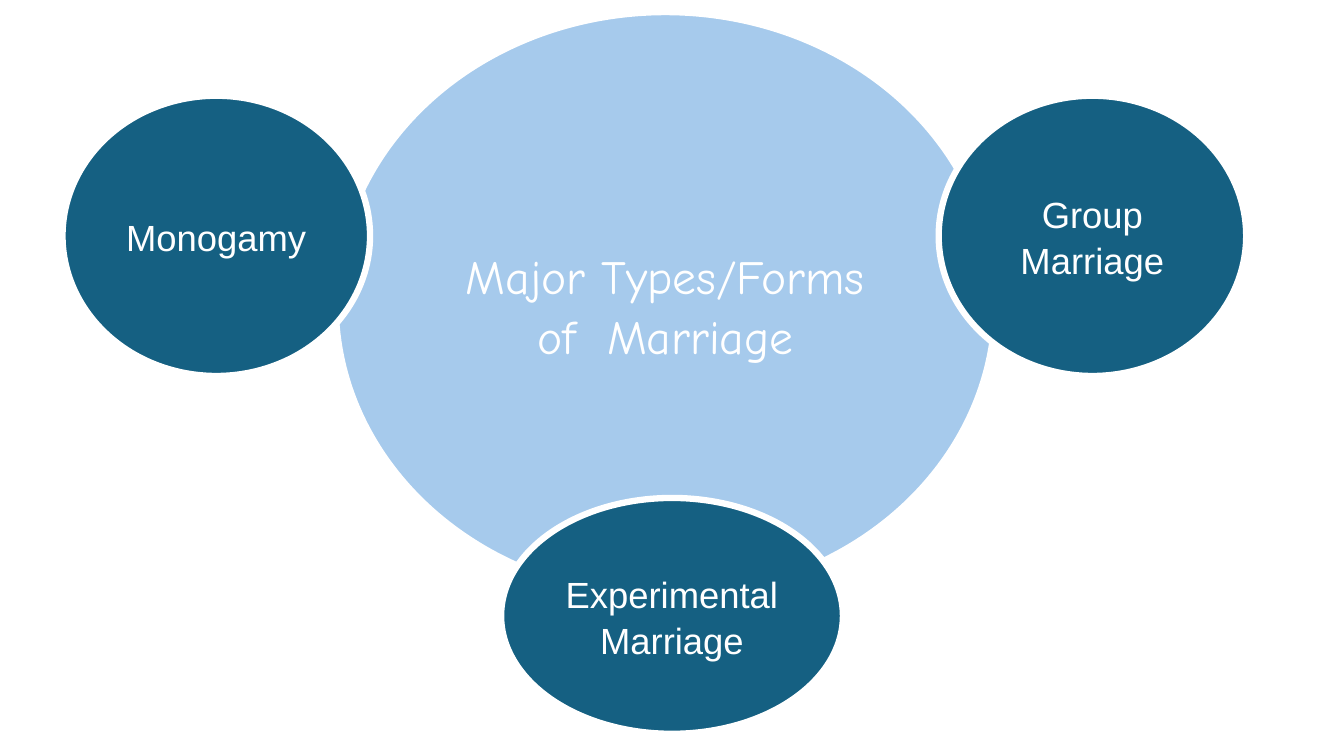
from pptx import Presentation
from pptx.dml.color import RGBColor
from pptx.enum.shapes import MSO_SHAPE
from pptx.enum.text import MSO_ANCHOR, PP_ALIGN
from pptx.util import Inches, Pt

ELLIPSE = MSO_SHAPE.OVAL
MIDDLE = MSO_ANCHOR.MIDDLE
CENTER = PP_ALIGN.CENTER

WHITE = RGBColor(0xFF, 0xFF, 0xFF)
LIGHT_BLUE = RGBColor(0xA6, 0xCA, 0xEC)
TEAL = RGBColor(0x15, 0x60, 0x82)

SLIDE_W, SLIDE_H = 13.33, 7.5
SIDE_TOP, SIDE_W, SIDE_H = 0.95, 3.05, 2.78

# Marriage forms around the hub: text, left, top, width, height
FORMS = [
    ("Group Marriage", 9.31, SIDE_TOP, SIDE_W, SIDE_H),
    ("Monogamy", 0.62, SIDE_TOP, SIDE_W, SIDE_H),
    ("Experimental Marriage", 4.97, 4.94, 3.39, 2.34),
]


def add_ellipse(s, text, left, top, width, height, fill, font, size):
    sp = s.shapes.add_shape(ELLIPSE, Inches(left), Inches(top),
                            Inches(width), Inches(height))
    sp.shadow.inherit = False
    sp.fill.solid()
    sp.fill.fore_color.rgb = fill
    sp.line.color.rgb = WHITE
    sp.line.width = Pt(4.5)
    tf = sp.text_frame
    tf.word_wrap = True
    tf.vertical_anchor = MIDDLE
    p = tf.paragraphs[0]
    p.alignment = CENTER
    p.line_spacing = 1.05
    r = p.add_run()
    r.text = text
    r.font.name = font
    r.font.size = Pt(size)
    r.font.color.rgb = WHITE


def main():
    prs = Presentation()
    prs.slide_width = Inches(SLIDE_W)
    prs.slide_height = Inches(SLIDE_H)
    s = prs.slides.add_slide(prs.slide_layouts[6])
    add_ellipse(s, "Major Types/Forms of  Marriage", 3.33, 0.12, 6.54, 5.8,
                LIGHT_BLUE, "Comic Neue", 34)
    for text, left, top, width, height in FORMS:
        add_ellipse(s, text, left, top, width, height, TEAL, "Arial", 26)
    prs.save("out.pptx")


if __name__ == "__main__":
    main()
